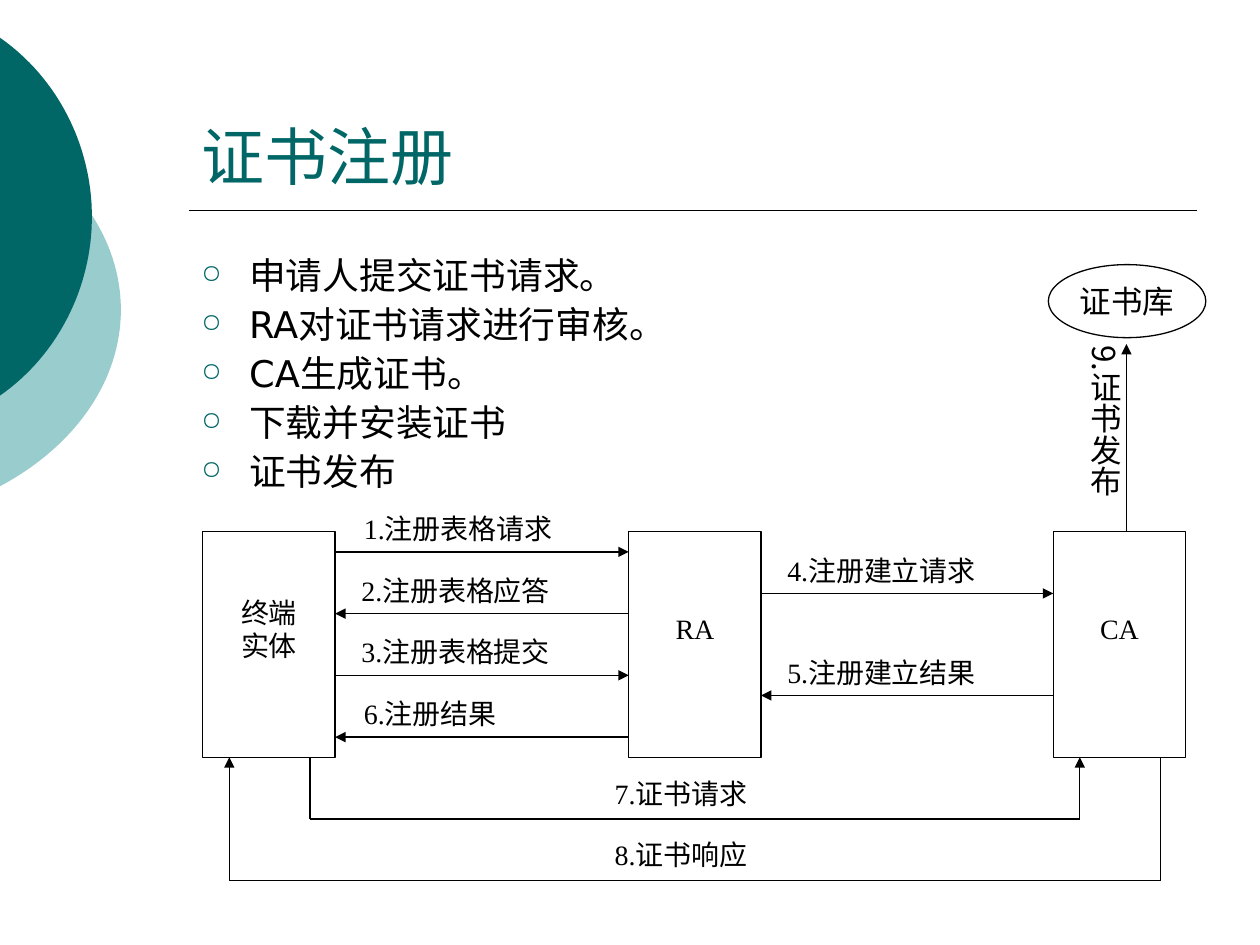
import pptx
import pptx.dml.color
import pptx.enum.shapes
import pptx.enum.text
import pptx.util
from lxml import etree
from pptx.oxml.ns import qn

Inches = pptx.util.Inches
Pt = pptx.util.Pt
ALIGN = pptx.enum.text.PP_ALIGN
ANCHOR = pptx.enum.text.MSO_ANCHOR
SHAPE = pptx.enum.shapes.MSO_SHAPE

TEAL, PALE_TEAL, BLACK = "006666", "99CCCC", "000000"
SERIF = "Times New Roman"

STEPS = ["申请人提交证书请求。", "RA对证书请求进行审核。", "CA生成证书。",
         "下载并安装证书", "证书发布"]

# Party boxes share one row
BOX_TOP, BOX_WIDTH, BOX_HEIGHT = 4.22, 1.05, 1.79
BOX_BOTTOM = BOX_TOP + BOX_HEIGHT
ENTITY, RA, CA = 1.61, 4.99, 8.36
PARTIES = [(ENTITY, ["终端", "实体"]), (RA, ["RA"]), (CA, ["CA"])]

# Messages between neighbours: label, sender, receiver, height, label left
MESSAGES = [
    ("1.注册表格请求", ENTITY, RA, 4.38, 2.79),
    ("2.注册表格应答", RA, ENTITY, 4.87, 2.77),
    ("3.注册表格提交", ENTITY, RA, 5.36, 2.77),
    ("6.注册结果", RA, ENTITY, 5.85, 2.79),
    ("4.注册建立请求", RA, CA, 4.71, 6.15),
    ("5.注册建立结果", CA, RA, 5.52, 6.15),
]

# Messages routed below the boxes: label, start x, end x, depth
DETOURS = [("7.证书请求", 2.46, 8.57, 6.5), ("8.证书响应", 9.21, 1.82, 6.99)]


def color(hex_value):
    return pptx.dml.color.RGBColor.from_string(hex_value)


def style(paragraph, size, font, hex_value=BLACK, align=None):
    paragraph.alignment = align
    paragraph.font.size = Pt(size)
    paragraph.font.name = font
    paragraph.font.color.rgb = color(hex_value)


def add_text(slide, left, top, width, height, text):
    box = slide.shapes.add_textbox(Inches(left), Inches(top), Inches(width), Inches(height))
    box.text_frame.word_wrap = True
    box.text_frame.text = text
    return box.text_frame


def add_label(slide, left, top, text):
    frame = add_text(slide, left, top, 2.11, 0.49, text)
    style(frame.paragraphs[0], 16, SERIF, align=ALIGN.JUSTIFY)


def add_node(slide, kind, left, top, width, height, lines, size, font):
    node = slide.shapes.add_shape(kind, Inches(left), Inches(top), Inches(width), Inches(height))
    node.shadow.inherit = False
    node.fill.background()
    node.line.color.rgb = color(BLACK)
    node.line.width = Pt(0.75)
    node.text_frame.vertical_anchor = ANCHOR.MIDDLE
    node.text_frame.text = "\n".join(lines)
    for paragraph in node.text_frame.paragraphs:
        style(paragraph, size, font, align=ALIGN.CENTER)
    return node.text_frame


def add_line(slide, start, end, width=0.75, arrow=False):
    line = slide.shapes.add_connector(
        pptx.enum.shapes.MSO_CONNECTOR.STRAIGHT, *(Inches(v) for v in (*start, *end)))
    line.line.color.rgb = color(BLACK)
    line.line.width = Pt(width)
    if arrow:
        etree.SubElement(line.line._get_or_add_ln(), qn("a:tailEnd"), type="triangle")
    etree.SubElement(line._element.spPr, qn("a:effectLst"))


def add_route(slide, points):
    """Joined straight lines with an arrowhead at the last point."""
    for i, (start, end) in enumerate(zip(points, points[1:])):
        add_line(slide, start, end, arrow=i == len(points) - 2)


def add_disc_edge(slide, curve, fill):
    """Disc cut by the left slide edge; curve is the Bezier of its upper half."""
    middle = curve[-1][1]
    upper = []
    for i in range(33):
        t = i / 32
        weights = ((1 - t) ** 3, 3 * t * (1 - t) ** 2, 3 * t ** 2 * (1 - t), t ** 3)
        upper.append(tuple(sum(w * p[axis] for w, p in zip(weights, curve)) for axis in (0, 1)))
    lower = [(x, 2 * middle - y) for x, y in reversed(upper[:-1])]
    points = [(Inches(x), Inches(y)) for x, y in upper + lower]
    builder = slide.shapes.build_freeform(*points[0])
    builder.add_line_segments(points[1:], close=True)
    disc = builder.convert_to_shape()
    disc.shadow.inherit = False
    disc.fill.solid()
    disc.fill.fore_color.rgb = color(fill)
    disc.line.fill.background()


def add_bullet(paragraph):
    properties = paragraph._p.get_or_add_pPr()
    properties.set("marL", str(Inches(0.38)))
    properties.set("indent", str(-Inches(0.38)))
    bullet_color = etree.SubElement(properties, qn("a:buClr"))
    etree.SubElement(bullet_color, qn("a:srgbClr"), val=TEAL)
    etree.SubElement(properties, qn("a:buSzPct"), val="70000")
    etree.SubElement(properties, qn("a:buChar"), char="○")


def add_title(slide, text):
    title = slide.shapes.title
    title.left, title.top, title.width, title.height = (Inches(v) for v in (1.5, 0.33, 8, 1.25))
    title.text_frame.text = text
    title.text_frame.vertical_anchor = ANCHOR.BOTTOM
    style(title.text_frame.paragraphs[0], 36, "Arial", TEAL, ALIGN.LEFT)


def add_steps(slide):
    frame = add_text(slide, 1.5, 2, 4.13, 1.99, "\n".join(STEPS))
    for i, paragraph in enumerate(frame.paragraphs):
        add_bullet(paragraph)
        paragraph.line_spacing = 0.9
        paragraph.space_before = Pt(5.2 if i else 0)
        style(paragraph, 21, "DejaVu Sans")


def add_exchange(slide):
    for left, lines in PARTIES:
        frame = add_node(slide, SHAPE.RECTANGLE, left, BOX_TOP, BOX_WIDTH, BOX_HEIGHT,
                         lines, 16, SERIF)
        frame.margin_bottom = Inches(0.3)  # names sit a little above the middle
    for text, sender, receiver, y, label_left in MESSAGES:
        add_label(slide, label_left, y - 0.37, text)
        start, end = sender, receiver
        if sender < receiver:
            start += BOX_WIDTH
        else:
            end += BOX_WIDTH
        add_line(slide, (start, y), (end, y), arrow=True)
    for text, start, end, depth in DETOURS:
        add_label(slide, 4.78, depth - 0.39, text)
        add_route(slide, [(start, BOX_BOTTOM), (start, depth), (end, depth), (end, BOX_BOTTOM)])


def add_repository(slide):
    frame = add_text(slide, 8.47, 2.64, 0.5, 1.5, "9.证书发布")
    frame._txBody.bodyPr.set("vert", "eaVert")
    frame.margin_left = frame.margin_right = Inches(0.05)
    frame.margin_top = frame.margin_bottom = Inches(0.1)
    style(frame.paragraphs[0], 18, "Noto Sans CJK SC")
    store = add_node(slide, SHAPE.OVAL, 8.32, 2.1, 1.25, 0.58, ["证书库"], 18, "Arial")
    store.word_wrap = False
    add_line(slide, (8.94, BOX_TOP), (8.94, 2.73), arrow=True)


def main():
    deck = pptx.Presentation()
    deck.slide_width, deck.slide_height = Inches(10), Inches(7.5)
    slide = deck.slides.add_slide(deck.slide_layouts[5])
    # Corner decoration and title rule
    add_disc_edge(slide, [(0, 1.06), (0.6, 1.38), (0.96, 1.9), (0.96, 2.46)], PALE_TEAL)
    add_disc_edge(slide, [(0, 0.3), (0.46, 0.62), (0.73, 1.16), (0.73, 1.72)], TEAL)
    add_line(slide, (1.5, 1.67), (9.5, 1.67), width=1)
    # Content
    add_title(slide, "证书注册")
    add_steps(slide)
    add_exchange(slide)
    add_repository(slide)
    deck.save("out.pptx")


if __name__ == "__main__":
    main()
